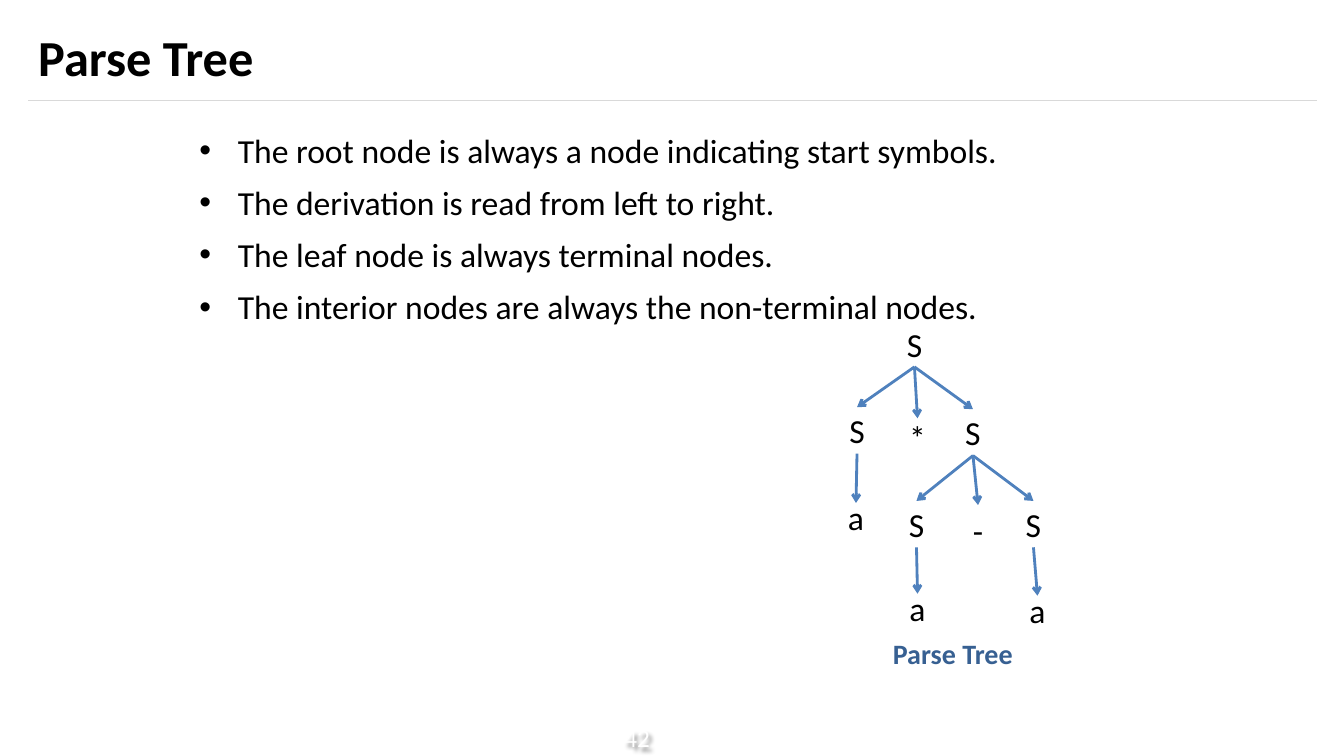
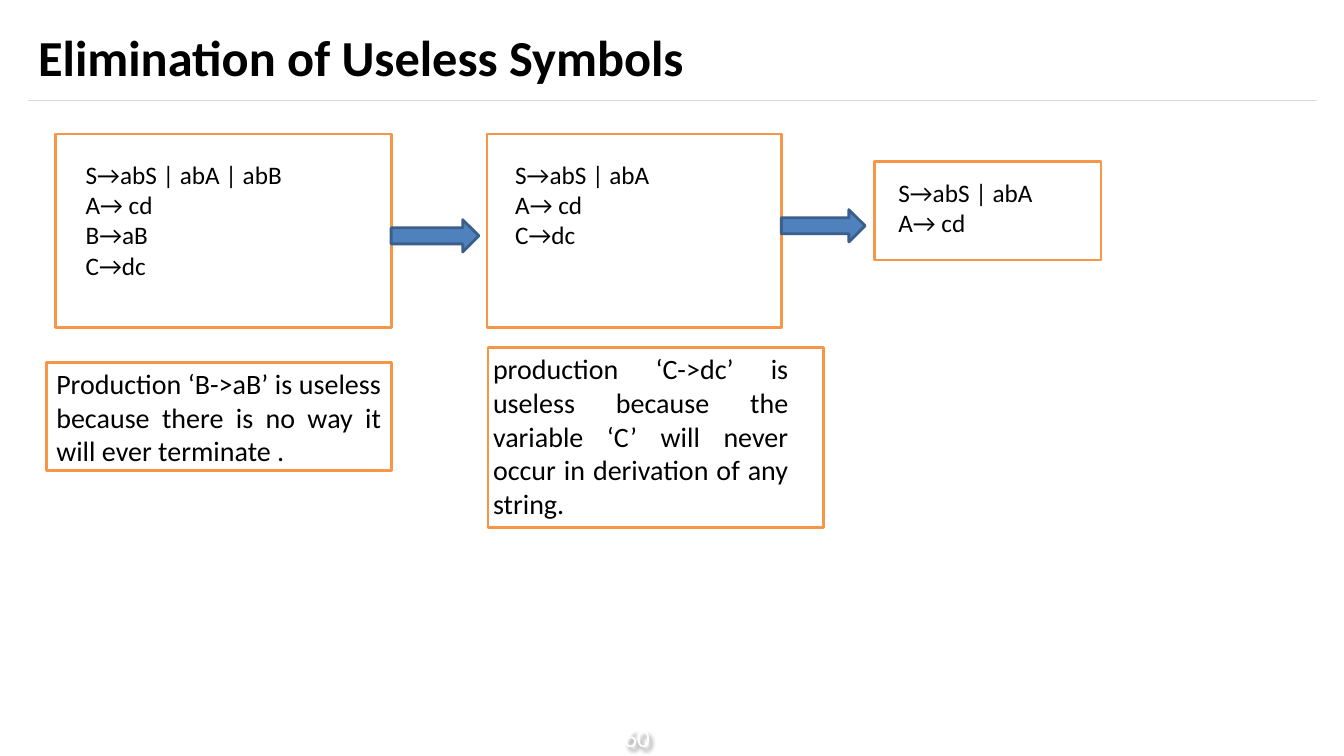
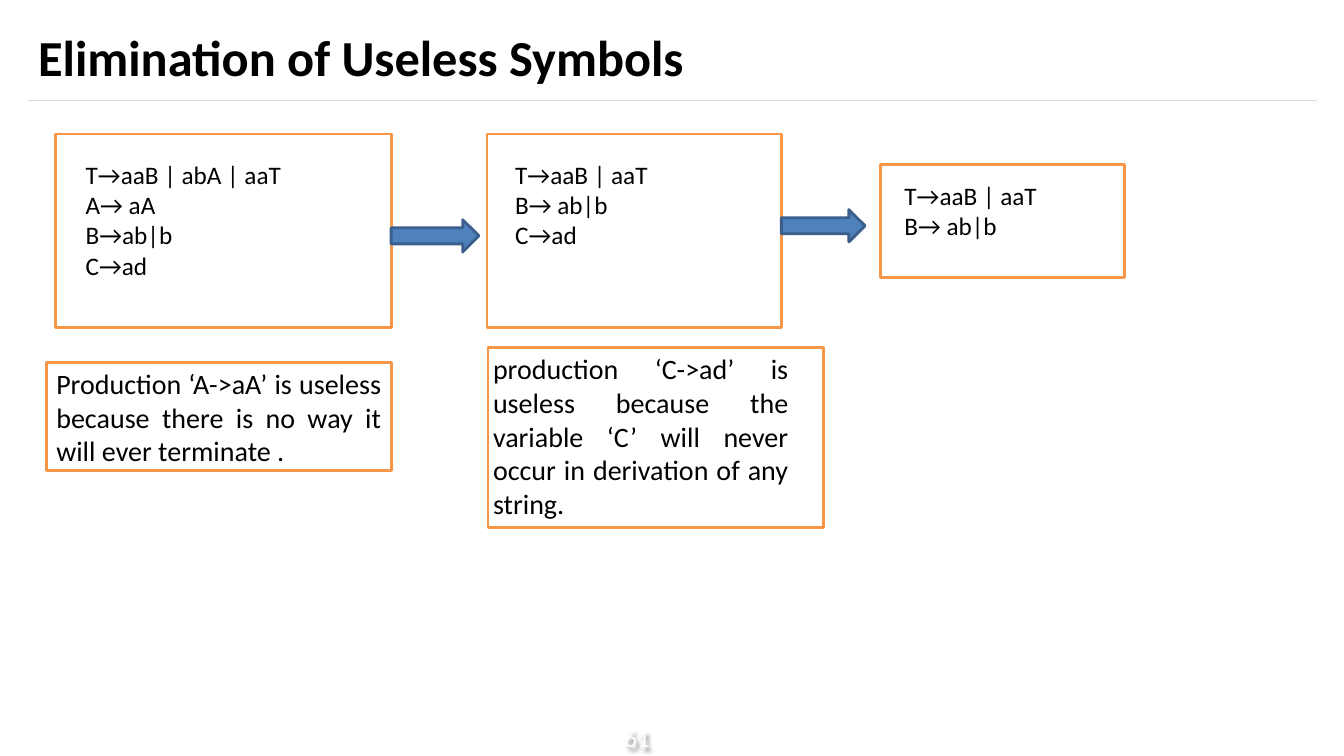
from lxml import etree
from pptx import Presentation
from pptx.dml.color import RGBColor
from pptx.enum.shapes import MSO_CONNECTOR, MSO_SHAPE
from pptx.enum.text import MSO_ANCHOR, PP_ALIGN
from pptx.oxml.ns import qn
from pptx.util import Inches, Pt

LINE, RECT, ARROW = MSO_CONNECTOR.STRAIGHT, MSO_SHAPE.RECTANGLE, MSO_SHAPE.RIGHT_ARROW
TOP, MID = MSO_ANCHOR.TOP, MSO_ANCHOR.MIDDLE
LEFT, CENTER, JUST = PP_ALIGN.LEFT, PP_ALIGN.CENTER, PP_ALIGN.JUSTIFY

FONT = "Calibri"
BLACK, WHITE, GREY = "000000", "FFFFFF", "D9D9D9"
BLUE, EDGE, NAVY, ORANGE = "4F81BD", "3A5F8C", "376092", "F79646"


def paint(target, color):
    """Give a fill, or the fill of a line, one solid colour."""
    target.solid()
    target.fore_color.rgb = RGBColor.from_string(color)


def write(shape, lines, size, color=BLACK, bold=False, align=LEFT,
          anchor=MID, pad=(0.1, 0.05, 0.1, 0.05)):
    """Write one paragraph per line; pad is left, top, right, bottom."""
    frame = shape.text_frame
    frame.word_wrap = True
    frame.vertical_anchor = anchor
    frame.margin_left, frame.margin_top, frame.margin_right, frame.margin_bottom = map(Inches, pad)
    for i, line in enumerate(lines):
        para = frame.add_paragraph() if i else frame.paragraphs[0]
        para.alignment = align
        run = para.add_run()
        run.text = line
        run.font.name, run.font.size, run.font.bold = FONT, Pt(size), bold
        paint(run.font.fill, color)
    return frame


deck = Presentation()
deck.slide_width, deck.slide_height = Inches(13.33), Inches(7.5)

# Shared frame: title, rule and shadowed page number
slides = []
for title, page in [("Parse Tree", "42"),
                    ("Elimination of Useless Symbols", "60"),
                    ("Elimination of Useless Symbols", "61")]:
    slide = deck.slides.add_slide(deck.slide_layouts[6])
    slides.append(slide)
    num = slide.shapes.add_textbox(Inches(5.86), Inches(7.12), Inches(0.92), Inches(0.4))
    write(num, [page], 18, WHITE, align=CENTER)
    glow = etree.SubElement(num._element.spPr, qn("a:effectLst"))
    shade = etree.SubElement(glow, qn("a:outerShdw"), blurRad="38100", dist="38100", dir="2700000")
    tint = etree.SubElement(shade, qn("a:srgbClr"), val=BLACK)
    etree.SubElement(tint, qn("a:alpha"), val="43000")
    rule = slide.shapes.add_connector(LINE, Inches(0.28), Inches(1), Inches(13.06), Inches(1))
    paint(rule.line.fill, GREY)
    rule.line.width = Pt(0.75)
    etree.SubElement(rule._element.spPr, qn("a:effectLst"))
    head = slide.shapes.add_textbox(Inches(0.28), Inches(0.12), Inches(12.78), Inches(0.88))
    write(head, [title], 36, bold=True)

# Slide 1: bullets
shapes = slides[0].shapes
body = shapes.add_textbox(Inches(1.88), Inches(1.18), Inches(9.58), Inches(2.2))
frame = write(body, [
    "The root node is always a node indicating start symbols.",
    "The derivation is read from left to right.",
    "The leaf node is always terminal nodes.",
    "The interior nodes are always the non-terminal nodes.",
], 24, align=JUST, anchor=TOP)
for para in frame.paragraphs:
    para.line_spacing, para.space_before = 1.14, Pt(4.5)
    props = para._p.get_or_add_pPr()
    props.set("marL", str(Inches(0.38)))
    props.set("indent", str(-Inches(0.38)))
    etree.SubElement(props, qn("a:buFont"), typeface="Arial")
    etree.SubElement(props, qn("a:buChar"), char="•")

# Slide 1: tree nodes as text, centre x, centre y, height, parent index
nodes = []
for text, x, y, high, parent in [
    ("S", 9.07, 3.41, 0.46, None),
    ("S", 8.5, 4.27, 0.46, 0),
    ("*", 9.1, 4.34, 0.38, 0),
    ("S", 9.65, 4.29, 0.46, 0),
    ("a", 8.49, 5.13, 0.28, 1),
    ("S", 9.09, 5.2, 0.46, 3),
    ("-", 9.7, 5.26, 0.5, 3),
    ("S", 10.25, 5.2, 0.46, 3),
    ("a", 9.1, 6.03, 0.28, 5),
    ("a", 10.29, 6.05, 0.28, 7),
]:
    node = shapes.add_textbox(Inches(x - 0.25), Inches(y - high / 2), Inches(0.5), Inches(high))
    write(node, [text], 24, align=CENTER, pad=(0, 0, 0, 0))
    nodes.append(node)
    if parent is None:
        continue
    link = shapes.add_connector(LINE, 0, 0, 0, 0)
    link.begin_connect(nodes[parent], 2)
    link.end_connect(node, 0)
    paint(link.line.fill, BLUE)
    link.line.width = Pt(2)
    etree.SubElement(link.line._get_or_add_ln(), qn("a:tailEnd"), type="arrow")
    etree.SubElement(link._element.spPr, qn("a:effectLst"))

label = shapes.add_textbox(Inches(7.73), Inches(6.19), Inches(3.44), Inches(0.58))
write(label, ["Parse Tree"], 20, NAVY, bold=True, align=CENTER)

# Slides 2 and 3: three grammars, two reasons; last is the place of the third box
cases = [
    (["S→abS | abA | abB", "A→ cd", "B→aB", "C→dc"],
     ["S→abS | abA", "A→ cd", "C→dc"],
     ["S→abS | abA", "A→ cd"],
     "B->aB", "C->dc", (8.67, 1.6, 2.25, 0.98)),
    (["T→aaB | abA | aaT", "A→ aA", "B→ab|b", "C→ad"],
     ["T→aaB | aaT", "B→ ab|b", "C→ad"],
     ["T→aaB | aaT", "B→ ab|b"],
     "A->aA", "C->ad", (8.73, 1.63, 2.42, 1.12)),
]
for slide, (start, step, end, loop, lost, last) in zip(slides[1:], cases):
    why = f"Production ‘{loop}’ is useless because there is no way it will ever terminate ."
    note = (f"production ‘{lost}’ is useless because the variable ‘{lost[0]}’ "
            "will never occur in derivation of any string.")
    for place, lines, size, align, anchor, pad in [
        ((0.55, 1.33, 3.33, 1.92), start, 18, LEFT, TOP, (0.3, 0.25, 0.1, 0.05)),
        ((4.83, 1.33, 2.92, 1.92), step, 18, LEFT, TOP, (0.28, 0.25, 0.1, 0.05)),
        (last, end, 18, LEFT, TOP, (0.24, 0.16, 0.1, 0.05)),
        ((0.46, 3.6, 3.42, 1.07), [why], 20, JUST, MID, (0.1, 0.05, 0.1, 0.05)),
        ((4.84, 3.45, 3.33, 1.78), [note], 20, JUST, TOP, (0.05, 0.04, 0.35, 0.05)),
    ]:
        box = slide.shapes.add_shape(RECT, *map(Inches, place))
        box.shadow.inherit = False
        paint(box.fill, WHITE)
        paint(box.line.fill, ORANGE)
        box.line.width = Pt(2)
        write(box, lines, size, align=align, anchor=anchor, pad=pad)

    # Arrows between the grammars
    for place in [(3.88, 2.18, 0.87, 0.32), (7.75, 2.08, 0.83, 0.32)]:
        arrow = slide.shapes.add_shape(ARROW, *map(Inches, place))
        arrow.shadow.inherit = False
        paint(arrow.fill, BLUE)
        paint(arrow.line.fill, EDGE)
        arrow.line.width = Pt(2)

deck.save("out.pptx")
